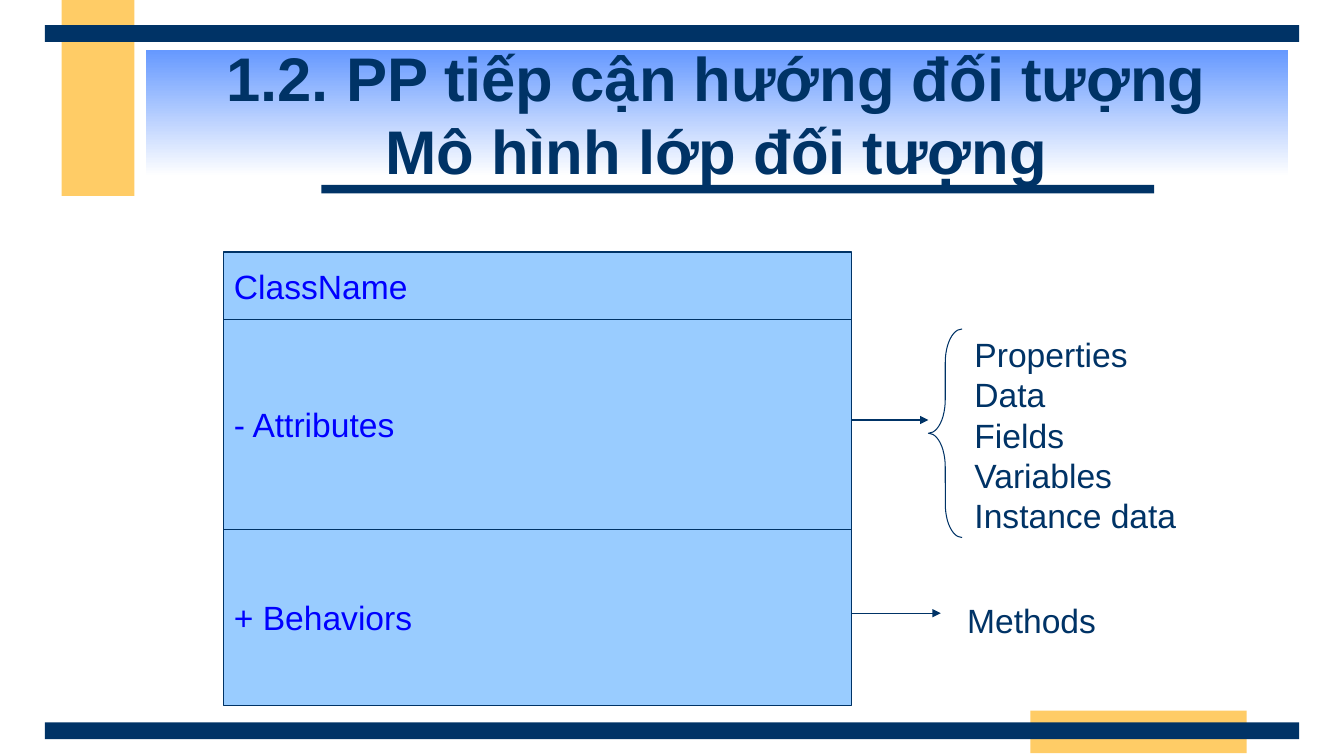
from lxml.etree import SubElement
from pptx import Presentation
from pptx.dml.color import RGBColor
from pptx.enum.shapes import MSO_CONNECTOR, MSO_SHAPE
from pptx.enum.text import MSO_ANCHOR, MSO_AUTO_SIZE, PP_ALIGN
from pptx.oxml.ns import qn
from pptx.util import Pt

NAVY = RGBColor(0x00, 0x33, 0x66)
GOLD = RGBColor(0xFF, 0xCC, 0x66)
SKY = RGBColor(0x99, 0xCC, 0xFF)
BLUE = RGBColor(0x00, 0x00, 0xFF)
PERIWINKLE = RGBColor(0x66, 0x99, 0xFF)
WHITE = RGBColor(0xFF, 0xFF, 0xFF)

TITLE = "1.2. PP tiếp cận hướng đối tượng\vMô hình lớp đối tượng"
CLASS_PARTS = [("ClassName", 48), ("- Attributes", 150), ("+ Behaviors", 126)]
ATTRIBUTE_TERMS = ["Properties", "Data", "Fields", "Variables", "Instance data"]
BEHAVIOR_TERMS = ["Methods"]
BARS = [
    (44, 0, 52, 140, GOLD),
    (736, 507.6, 154.6, 30.4, GOLD),
    (229.6, 132, 594.8, 6.2, NAVY),
    (32, 516, 896, 12, NAVY),
    (32, 18, 896, 12, NAVY),
]
CLASS_LEFT, CLASS_TOP, CLASS_WIDTH = 160, 180, 448
CLASS_RIGHT = CLASS_LEFT + CLASS_WIDTH
ARROWS = [(663.2, 300), (672, 438)]
TERM_BOXES = [
    (ATTRIBUTE_TERMS, (689, 235, 200, 149), PP_ALIGN.LEFT, 7.2),
    (BEHAVIOR_TERMS, (685, 425, 103.6, 30), PP_ALIGN.CENTER, 0),
]


def points(values):
    return [Pt(value) for value in values]


def format_text(frame, color, size, align, bold=False):
    for paragraph in frame.paragraphs:
        paragraph.alignment = align
        for run in paragraph.runs:
            run.font.name = "Arial"
            run.font.size = Pt(size)
            run.font.bold = bold
            run.font.color.rgb = color


def add_rectangle(slide, bounds, fill):
    shape = slide.shapes.add_shape(MSO_SHAPE.RECTANGLE, *points(bounds))
    shape.shadow.inherit = False
    shape.fill.solid()
    shape.fill.fore_color.rgb = fill
    shape.line.fill.background()
    return shape


def outline(shape):
    shape.line.color.rgb = NAVY
    shape.line.width = Pt(0.75)


def add_title(slide):
    title = slide.shapes.title
    title.left, title.top, title.width, title.height = points((104, 36, 816, 90))
    title.fill.gradient()
    title.fill.gradient_angle = 270
    for stop, color in zip(title.fill.gradient_stops, (PERIWINKLE, WHITE)):
        stop.color.rgb = color
    frame = title.text_frame
    frame.text = TITLE
    frame.auto_size = MSO_AUTO_SIZE.NONE
    frame.vertical_anchor = MSO_ANCHOR.MIDDLE
    format_text(frame, NAVY, 44, PP_ALIGN.CENTER, bold=True)


def add_class_box(slide):
    top = CLASS_TOP
    for label, height in CLASS_PARTS:
        box = add_rectangle(slide, (CLASS_LEFT, top, CLASS_WIDTH, height), SKY)
        outline(box)
        box.text_frame.text = label
        box.text_frame.vertical_anchor = MSO_ANCHOR.MIDDLE
        format_text(box.text_frame, BLUE, 24, PP_ALIGN.LEFT)
        top += height


def add_arrow(slide, end, y):
    arrow = slide.shapes.add_connector(
        MSO_CONNECTOR.STRAIGHT, *points((CLASS_RIGHT, y, end, y)))
    outline(arrow)
    SubElement(arrow.line._get_or_add_ln(), qn("a:tailEnd"), type="triangle")
    SubElement(arrow._element.spPr, qn("a:effectLst"))


def add_brace(slide):
    brace = slide.shapes.add_shape(
        MSO_SHAPE.LEFT_BRACE, *points((663.2, 235, 24, 149)))
    brace.shadow.inherit = False
    brace.fill.background()
    outline(brace)
    brace.adjustments[0] = 1
    brace.adjustments[1] = 0.5


def add_terms(slide, terms, bounds, align, inset):
    frame = slide.shapes.add_textbox(*points(bounds)).text_frame
    frame.text = "\n".join(terms)
    frame.word_wrap = True
    frame.margin_left = frame.margin_right = Pt(inset)
    format_text(frame, NAVY, 24, align)


def main():
    presentation = Presentation()
    presentation.slide_width, presentation.slide_height = Pt(960), Pt(540)
    slide = presentation.slides.add_slide(presentation.slide_layouts[5])
    for *bounds, color in BARS:
        add_rectangle(slide, bounds, color)
    add_title(slide)
    add_class_box(slide)
    for end, y in ARROWS:
        add_arrow(slide, end, y)
    add_brace(slide)
    for terms, bounds, align, inset in TERM_BOXES:
        add_terms(slide, terms, bounds, align, inset)
    presentation.save("out.pptx")


if __name__ == "__main__":
    main()
